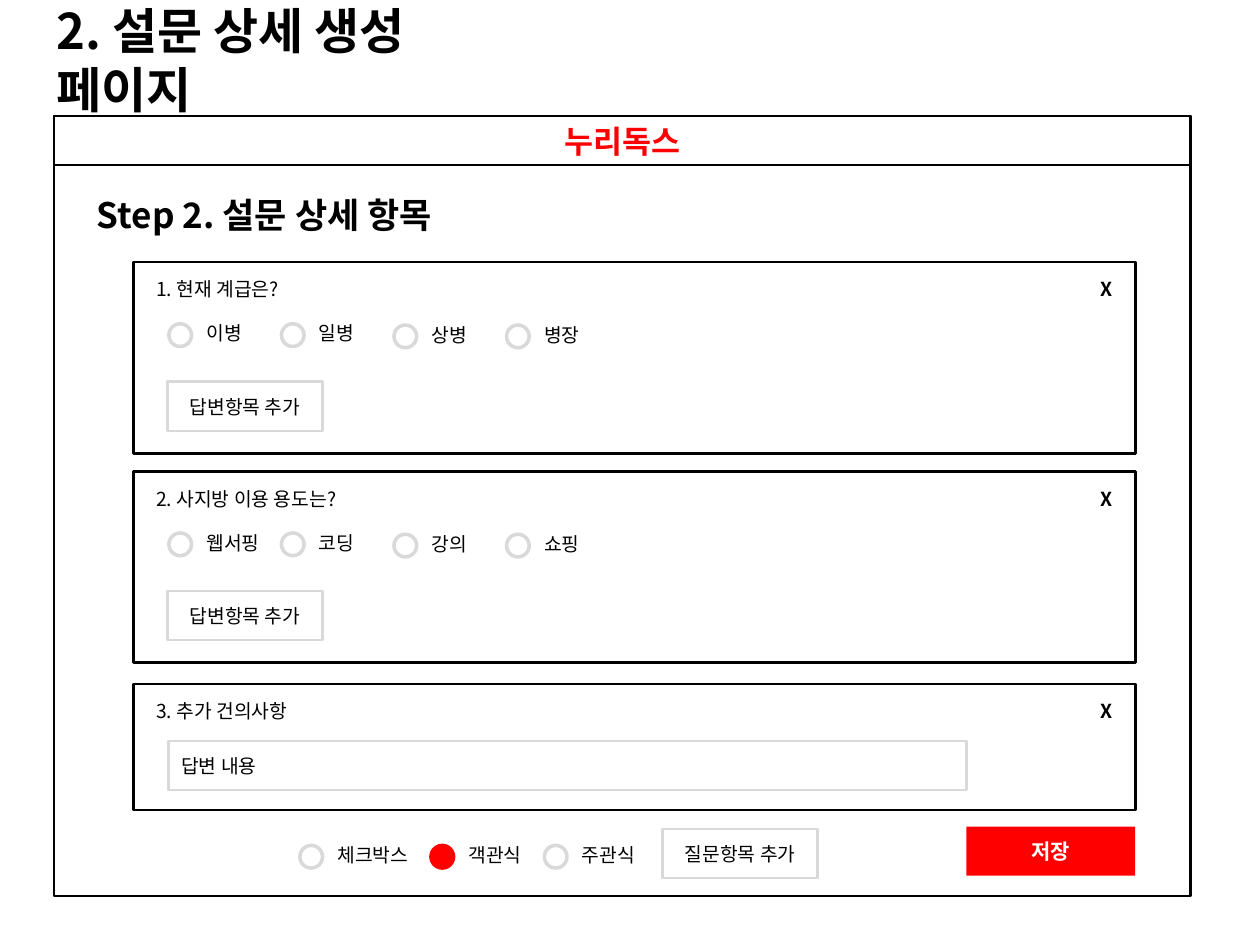
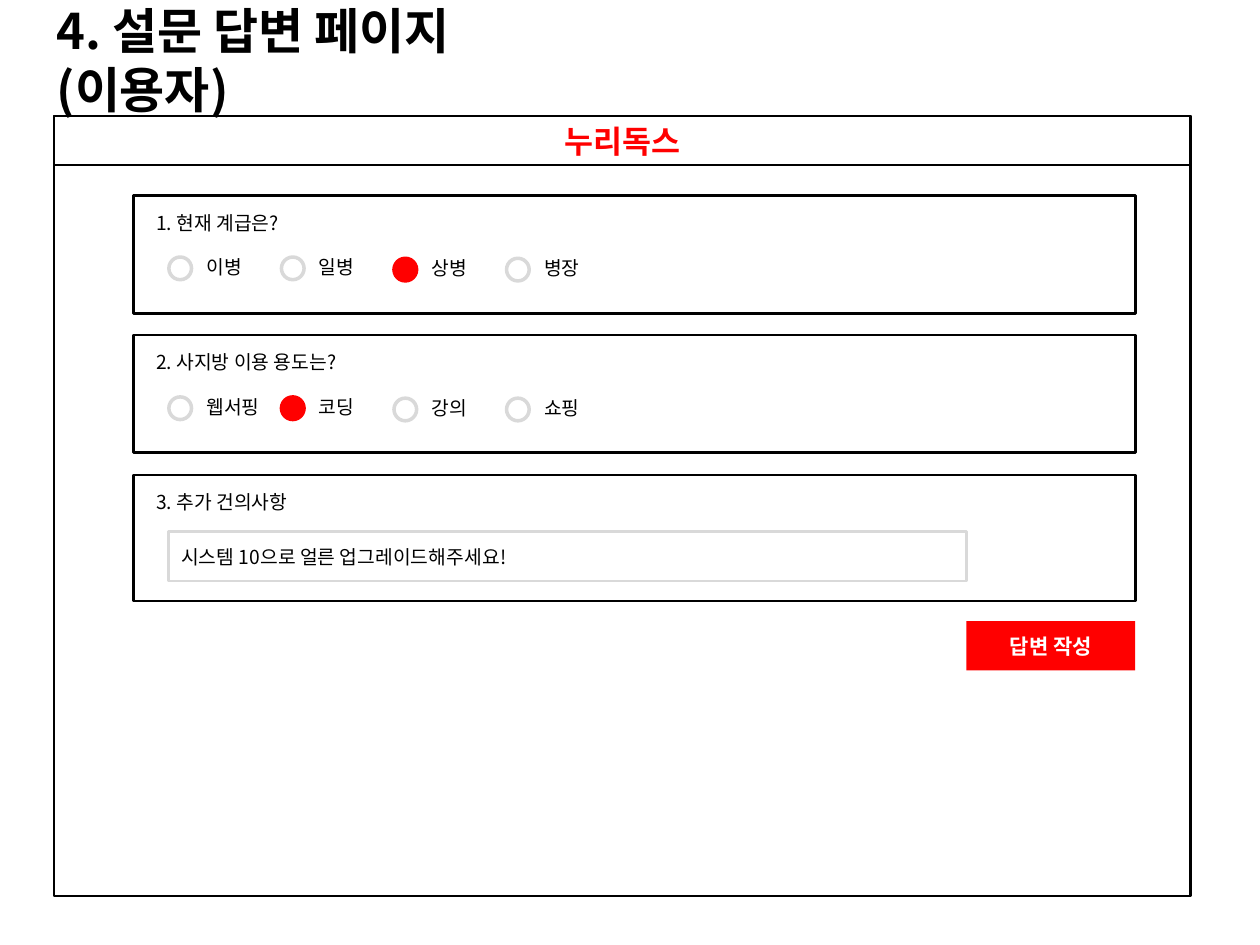
from lxml import etree
from pptx import Presentation
from pptx.dml.color import RGBColor
from pptx.enum.shapes import MSO_SHAPE
from pptx.enum.text import MSO_ANCHOR, PP_ALIGN
from pptx.oxml.ns import qn
from pptx.util import Inches, Pt

BLACK = RGBColor(0x00, 0x00, 0x00)
WHITE = RGBColor(0xFF, 0xFF, 0xFF)
RED = RGBColor(0xFF, 0x00, 0x00)
GRAY = RGBColor(0xD9, 0xD9, 0xD9)
FONT = "Noto Sans CJK KR"

CARD_LEFT, CARD_WIDTH = 1.06, 7.95
OPTION_LEFT, OPTION_RIGHT = 1.34, 4.02
OPTION_PITCH = (OPTION_RIGHT - OPTION_LEFT) / 3
ROW = 0.39  # height of headings, buttons and fields

RANK = ("1. 현재 계급은?", ["이병", "일병", "상병", "병장"])
USAGE = ("2. 사지방 이용 용도는?", ["웹서핑", "코딩", "강의", "쇼핑"])
SUGGESTION = "3. 추가 건의사항"


class Wireframe:
    """Holds the presentation, the current slide and the shared style."""

    def __init__(self):
        self.prs = Presentation()
        self.prs.slide_width, self.prs.slide_height = Inches(10), Inches(7.5)
        self.s = None

    def add_text(self, sp, text, size=11, color=BLACK, bold=False, align=PP_ALIGN.LEFT):
        tf = sp.text_frame
        tf.word_wrap = True
        tf.vertical_anchor = MSO_ANCHOR.MIDDLE
        p = tf.paragraphs[0]
        p.alignment = align
        r = p.add_run()
        r.text = text
        r.font.size, r.font.bold, r.font.name = Pt(size), bold, FONT
        r.font.color.rgb = color
        # Hangul takes the East Asian typeface
        etree.SubElement(r._r.get_or_add_rPr(), qn("a:ea"), typeface=FONT)

    def label(self, x, y, w, h, text, parent=None, **style):
        shapes = (parent or self.s).shapes
        sp = shapes.add_textbox(Inches(x), Inches(y), Inches(w), Inches(h))
        self.add_text(sp, text, **style)

    def shape(self, x, y, w, h, kind=MSO_SHAPE.RECTANGLE, fill=None, line=BLACK,
              weight=1.5, parent=None):
        shapes = (parent or self.s).shapes
        sp = shapes.add_shape(kind, Inches(x), Inches(y), Inches(w), Inches(h))
        sp.shadow.inherit = False
        if fill is None:
            sp.fill.background()
        else:
            sp.fill.solid()
            sp.fill.fore_color.rgb = fill
        if line is None:
            sp.line.fill.background()
        else:
            sp.line.color.rgb = line
            sp.line.width = Pt(weight)
        return sp

    def page(self, title, title_width):
        """Starts a slide with its title, browser frame and site header."""
        self.s = self.prs.slides.add_slide(self.prs.slide_layouts[6])
        self.shape(0.43, 0.92, 9.02, 6.19)
        self.label(0.35, 0.21, title_width, 0.53, title, size=28, bold=True)
        header = self.shape(0.43, 0.92, 9.02, ROW)
        self.add_text(header, "누리독스", size=18, color=RED, bold=True,
                      align=PP_ALIGN.CENTER)

    def option(self, x, y, text, chosen=False, width=0.7):
        """Radio circle with its label, grouped."""
        group = self.s.shapes.add_group_shape()
        self.label(x + 0.2, y - 0.08, width, 0.31, text, parent=group)
        self.shape(x, y, 0.18, 0.18, MSO_SHAPE.OVAL, fill=RED if chosen else None,
                   line=RED if chosen else GRAY, weight=2, parent=group)

    def card(self, y, height, heading, removable):
        self.shape(CARD_LEFT, y, CARD_WIDTH, height)
        self.label(1.14, y + 0.02, 1.89, ROW, heading)
        if removable:
            self.label(8.46, y + 0.02, 0.65, ROW, "X", bold=True, align=PP_ALIGN.CENTER)

    def choice_card(self, y, height, question, chosen=None, editable=False):
        heading, answers = question
        self.card(y, height, heading, editable)
        for i, answer in enumerate(answers):
            drop = 0.49 if i < 2 else 0.5
            self.option(OPTION_LEFT + i * OPTION_PITCH, y + drop, answer, answer == chosen)
        if editable:
            self.outline_button(1.33, y + 0.95, "답변항목 추가")

    def text_card(self, y, answer, editable=False):
        self.card(y, 1, SUGGESTION, editable)
        field = self.shape(OPTION_LEFT, y + 0.45, 6.33, ROW, line=GRAY)
        self.add_text(field, answer)

    def outline_button(self, x, y, text):
        sp = self.shape(x, y, 1.23, ROW, line=GRAY)
        self.add_text(sp, text, align=PP_ALIGN.CENTER)

    def submit_button(self, y, text):
        sp = self.shape(7.67, y, 1.34, ROW, fill=RED, line=None)
        self.add_text(sp, text, size=12, color=WHITE, bold=True, align=PP_ALIGN.CENTER)


def build_editor(w):
    w.page("2. 설문 상세 생성 페이지", 3.96)
    w.label(0.67, 1.47, 2.93, 0.47, "Step 2. 설문 상세 항목", size=20, bold=True)
    w.choice_card(2.08, 1.52, RANK, editable=True)
    w.choice_card(3.74, 1.52, USAGE, editable=True)
    w.text_card(5.43, "답변 내용", editable=True)
    # Question type picker
    w.option(2.38, 6.71, "체크박스", width=0.84)
    w.option(3.42, 6.71, "객관식", chosen=True)
    w.option(4.32, 6.71, "주관식")
    w.outline_button(5.26, 6.58, "질문항목 추가")
    w.submit_button(6.56, "저장")


def build_answer_form(w):
    w.page("4. 설문 답변 페이지 (이용자)", 4.59)
    w.choice_card(1.55, 0.94, RANK, chosen="상병")
    w.choice_card(2.66, 0.93, USAGE, chosen="코딩")
    w.text_card(3.77, "시스템 10으로 얼른 업그레이드해주세요!")
    w.submit_button(4.93, "답변 작성")


def main():
    w = Wireframe()
    build_editor(w)
    build_answer_form(w)
    w.prs.save("out.pptx")


if __name__ == "__main__":
    main()
